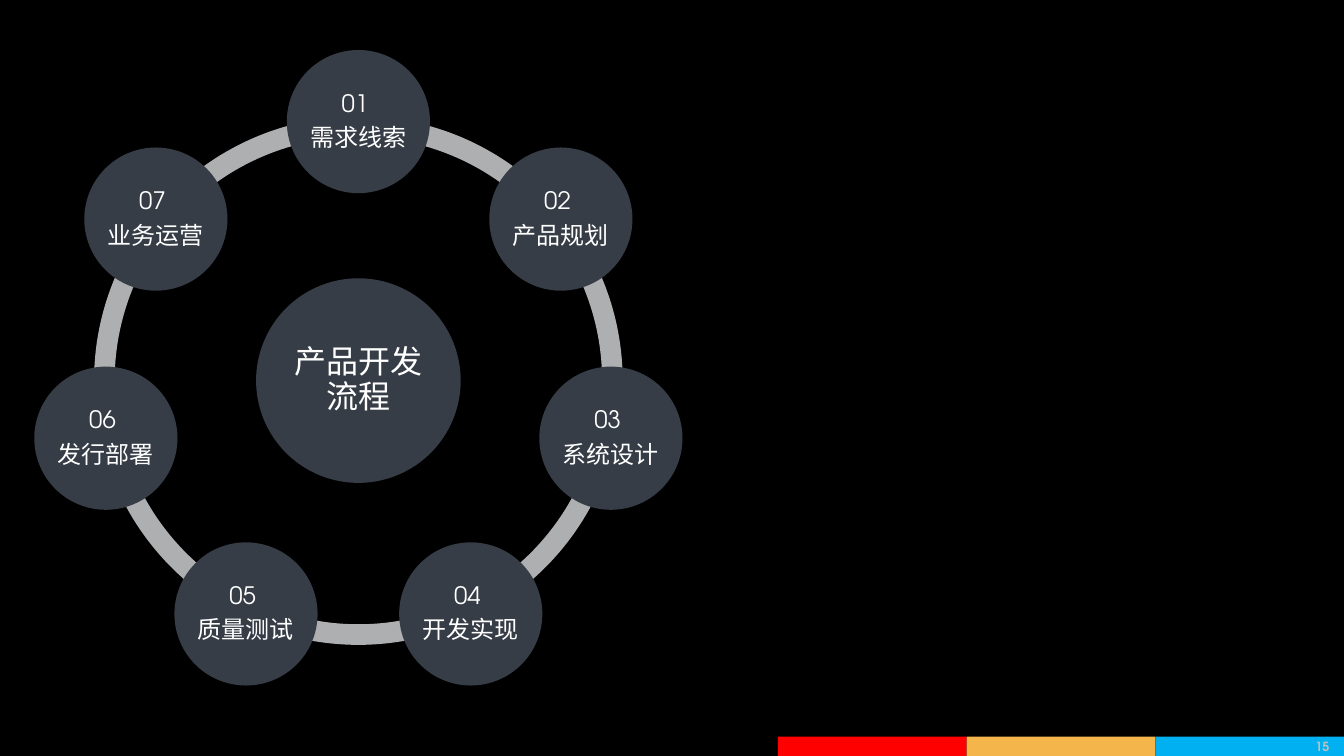
"""Build a slide with a seven-step product development cycle."""
import math
from dataclasses import dataclass

from pptx import Presentation
from pptx import util as u
from pptx.dml.color import RGBColor
from pptx.enum import shapes, text


@dataclass(frozen=True)
class Theme:
    font: str = "TeX Gyre Adventor"
    background: str = "000000"
    node: str = "363D46"
    ring: str = "AEAFB1"
    label: str = "FFFFFF"
    page_number: str = "BFBFBF"
    bars: tuple = ("FF0000", "F4B54B", "00B0F0")
    hub_size: float = 32
    node_size: float = 24
    page_size: float = 12.6


WIDTH, HEIGHT = 1344, 756
BAR_WIDTH, BAR_HEIGHT = 188.67, 19.4
CENTER_X, CENTER_Y = 358.4, 380.6
RING_DIAMETER, RING_THICKNESS = 528.6, 0.039
ORBIT_RADIUS = 259
NODE_DIAMETER, HUB_DIAMETER = 143.2, 204.6
STEPS = ("需求线索", "产品规划", "系统设计", "开发实现", "质量测试", "发行部署", "业务运营")


def write(frame, content, *, font, size, color, bold=False,
          align=text.PP_ALIGN.CENTER, line_spacing=None, space_after=None, inset=None):
    frame.word_wrap = True
    frame.vertical_anchor = text.MSO_ANCHOR.MIDDLE
    if inset is not None:
        frame.margin_left = frame.margin_right = u.Pt(inset)
        frame.margin_top = frame.margin_bottom = u.Pt(inset)
    frame.text = content
    for paragraph in frame.paragraphs:
        paragraph.alignment = align
        paragraph.line_spacing = line_spacing
        paragraph.space_after = None if space_after is None else u.Pt(space_after)
        style = paragraph.runs[0].font
        style.name, style.size, style.bold = font, u.Pt(size), bold
        style.color.rgb = RGBColor.from_string(color)


class SlideBuilder:
    def __init__(self, slide, theme):
        self.slide, self.theme = slide, theme
        fill = slide.background.fill
        fill.solid()
        fill.fore_color.rgb = RGBColor.from_string(theme.background)

    def filled(self, kind, left, top, width, height, color):
        shape = self.slide.shapes.add_shape(
            kind, u.Pt(left), u.Pt(top), u.Pt(width), u.Pt(height))
        shape.shadow.inherit = False
        shape.fill.solid()
        shape.fill.fore_color.rgb = RGBColor.from_string(color)
        shape.line.fill.background()
        return shape

    def centered(self, kind, x, y, diameter, color):
        return self.filled(kind, x - diameter / 2, y - diameter / 2, diameter, diameter, color)

    def arc(self, start, end):
        shape = self.centered(shapes.MSO_SHAPE.BLOCK_ARC, CENTER_X, CENTER_Y,
                              RING_DIAMETER, self.theme.ring)
        for index, angle in enumerate((start, end)):
            shape.adjustments[index] = angle % 360 * 0.6
        shape.adjustments[2] = RING_THICKNESS

    def circle(self, x, y, diameter, content, size, inset):
        shape = self.centered(shapes.MSO_SHAPE.OVAL, x, y, diameter, self.theme.node)
        write(shape.text_frame, content, font=self.theme.font, size=size,
              color=self.theme.label, line_spacing=0.9, space_after=size * 0.35, inset=inset)

    def footer(self, number):
        left, top = WIDTH - BAR_WIDTH * len(self.theme.bars), HEIGHT - BAR_HEIGHT
        for index, color in enumerate(self.theme.bars):
            self.filled(shapes.MSO_SHAPE.RECTANGLE, left + index * BAR_WIDTH, top,
                        BAR_WIDTH, BAR_HEIGHT, color)
        box = self.slide.shapes.add_textbox(u.Pt(1276), u.Pt(top), u.Pt(60.5), u.Pt(BAR_HEIGHT))
        write(box.text_frame, number, font=self.theme.font, size=self.theme.page_size,
              color=self.theme.page_number, bold=True, align=text.PP_ALIGN.RIGHT)

    def cycle(self, title, steps):
        step_angle = 360 / len(steps)
        angles = [-90 + index * step_angle for index in range(len(steps))]
        for angle in reversed(angles):
            self.arc(angle, angle + step_angle)
        self.circle(CENTER_X, CENTER_Y, HUB_DIAMETER, title, self.theme.hub_size, 2.9)
        for number, (angle, step) in enumerate(zip(angles, steps), start=1):
            x = CENTER_X + ORBIT_RADIUS * math.cos(math.radians(angle))
            y = CENTER_Y + ORBIT_RADIUS * math.sin(math.radians(angle))
            self.circle(x, y, NODE_DIAMETER, f"{number:02d} \n{step}", self.theme.node_size, 2.2)


def main():
    presentation = Presentation()
    presentation.slide_width, presentation.slide_height = u.Pt(WIDTH), u.Pt(HEIGHT)
    slide = presentation.slides.add_slide(presentation.slide_layouts[6])
    builder = SlideBuilder(slide, Theme())
    builder.footer("15")
    builder.cycle("产品开发流程", STEPS)
    presentation.save("out.pptx")


if __name__ == "__main__":
    main()
